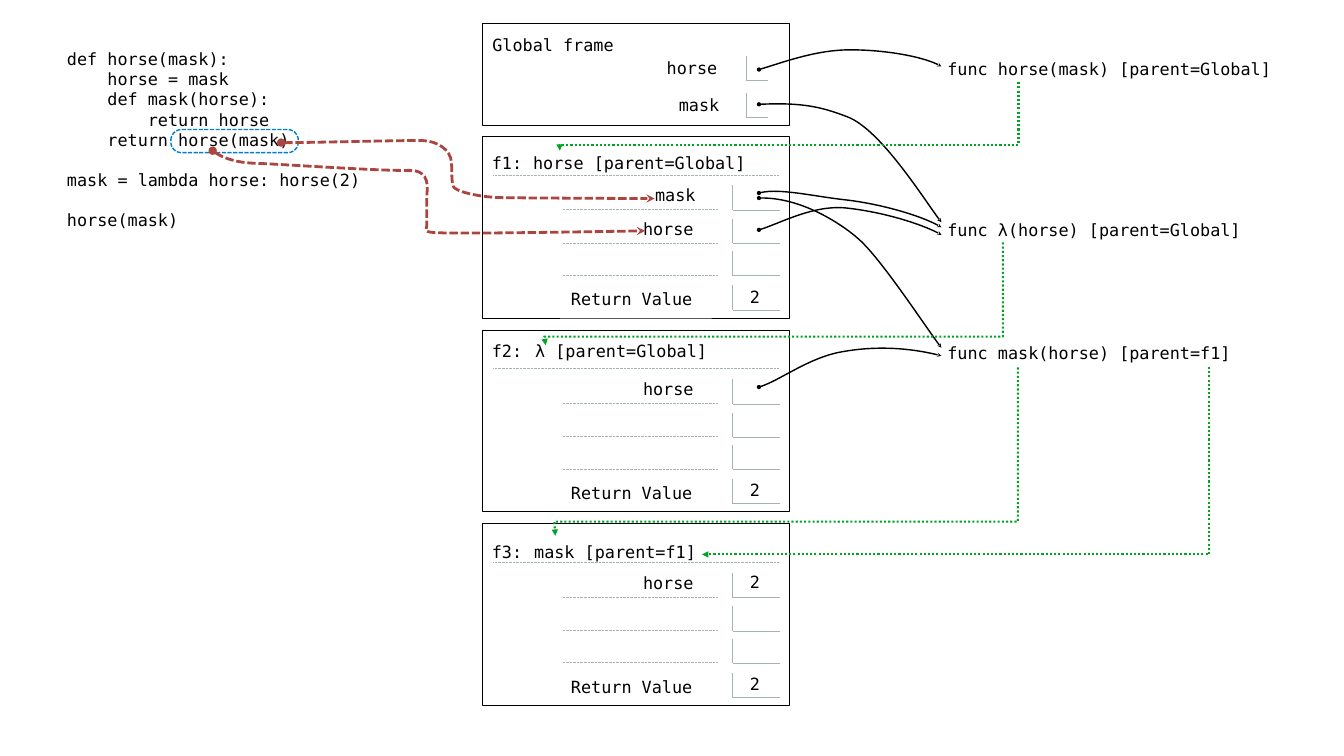
import pptx
import pptx.dml.color
import pptx.enum.dml
import pptx.enum.shapes
import pptx.enum.text
import pptx.oxml.ns
import pptx.util
import lxml.etree

COLUMNS, ROWS = 26.67, 15
COLORS = {
    "ink": "000000",
    "slot": "A6B3B6",
    "call": "007ECF",
    "lookup": "AC443F",
    "parent": "00A423",
}
FONT = "DejaVu Sans Mono"
CODE_PITCH = 28.8
DOTTED = pptx.enum.dml.MSO_LINE.ROUND_DOT
DASHED = pptx.enum.dml.MSO_LINE.SQUARE_DOT

FRAME_LEFT, FRAME_WIDTH, FRAME_HEIGHT = 9.57, 6.1, 3.61
FIRST_FRAME_TOP, FRAME_PITCH = 2.7, 3.845
SLOT_BASES = [1.47, 2.13, 2.77, 3.45]
NAME_RIGHT = 14.2

CODE = [
    "def horse(mask):",
    "    horse = mask",
    "    def mask(horse):",
    "        return horse",
    "    return horse(mask)",
    "mask = lambda horse: horse(2)",
    "horse(mask)",
]
FRAMES = [
    ("f1:", "horse [parent=Global]", 10.43, 0.53, ["mask", "horse"], None),
    ("f2:", "λ [parent=Global]", 10.47, 0.42, ["horse"], None),
    ("f3:", "mask [parent=f1]", 10.45, 0.55, ["horse"], "2"),
]
FUNCTIONS = [
    ("func horse(mask) [parent=Global]", 1.37, 7.1),
    ("func λ(horse) [parent=Global]", 4.55, 6.73),
    ("func mask(horse) [parent=f1]", 7, 6.73),
]
BINDINGS = [
    [(15.06, 1.38), (15.45, 1.27), (16.15, 1), (16.82, 0.99),
     (17.49, 0.98), (18.39, 1.13), (18.68, 1.32)],
    [(15.06, 2.07), (15.92, 2.03), (16.3, 2.12), (16.82, 2.32),
     (17.47, 2.57), (18.39, 4.04), (18.68, 4.41)],
    [(15.06, 4.56), (15.45, 4.45), (16.16, 4.05), (16.82, 4.13),
     (17.54, 4.21), (18.39, 4.48), (18.68, 4.66)],
    [(15.06, 7.68), (15.45, 7.57), (16.06, 7.09), (16.71, 6.98),
     (17.42, 6.85), (18.16, 6.92), (18.68, 7.06)],
    [(15.06, 3.83), (15.45, 3.72), (16.16, 3.9), (16.82, 3.97),
     (17.54, 4.06), (18.39, 4.32), (18.68, 4.51)],
    [(15.06, 3.93), (15.92, 3.9), (16.79, 4.5), (17.1, 4.8),
     (17.55, 5.24), (18.39, 6.52), (18.68, 6.9)],
]
LOOKUPS = [
    [(4.22, 2.99), (4.36, 3.11), (4.69, 3.23), (5.08, 3.24),
     (5.46, 3.25), (7.64, 3.4), (8.11, 3.38), (8.57, 3.37), (8.47, 3.77),
     (8.47, 3.9), (8.47, 4.03), (8.47, 4.39), (8.47, 4.48),
     (8.47, 4.57), (8.35, 4.61), (8.77, 4.62), (9.19, 4.64),
     (12.8, 4.58), (12.8, 4.58)],
    [(5.58, 2.83), (5.79, 2.84), (8.1, 2.78), (8.39, 2.79),
     (8.68, 2.8), (8.94, 2.97), (8.96, 3.22), (8.97, 3.47), (8.96, 3.58),
     (8.99, 3.69), (9.01, 3.8), (9.52, 3.91), (9.9, 3.92),
     (10.27, 3.93), (12.99, 3.94), (12.99, 3.94)],
]
PARENTS = [
    [(20.21, 1.63), (20.21, 2.88), (11.09, 2.88), (11.11, 2.99)],
    [(19.9, 4.81), (19.9, 6.68), (10.8, 6.68), (10.83, 6.85)],
    [(20.2, 7.29), (20.2, 10.35), (11, 10.35), (11.02, 10.63)],
    [(24, 7.28), (24, 11), (13.93, 11)],
]


def cells(*counts):
    return [pptx.util.Inches(count) for count in counts]


def format_line(line, color, width, dash=None):
    line.color.rgb = pptx.dml.color.RGBColor.from_string(COLORS[color])
    line.width = pptx.util.Pt(width)
    if dash is not None:
        line.dash_style = dash


def write(slide, text, left, middle, width, height=0.6, pitch=None, gaps=()):
    box = slide.shapes.add_textbox(*cells(left, middle - height / 2, width, height))
    frame = box.text_frame
    frame.word_wrap = True
    frame.vertical_anchor = pptx.enum.text.MSO_ANCHOR.MIDDLE
    frame.margin_left = pptx.util.Inches(0.15)
    frame.margin_right = frame.margin_top = frame.margin_bottom = pptx.util.Inches(0.06)
    frame.text = text
    for index, paragraph in enumerate(frame.paragraphs):
        paragraph.font.name = FONT
        paragraph.font.size = pptx.util.Pt(24)
        paragraph.font.color.rgb = pptx.dml.color.RGBColor.from_string(COLORS["ink"])
        if pitch:
            paragraph.line_spacing = pptx.util.Pt(pitch)
        if index in gaps:
            paragraph.space_before = pptx.util.Pt(pitch)


def draw_outline(slide, kind, box, color, width, dash=None):
    outline = slide.shapes.add_shape(kind, *cells(*box))
    outline.shadow.inherit = False
    outline.fill.background()
    format_line(outline.line, color, width, dash)
    return outline


def draw_rule(slide, start, end, dash=None):
    rule = slide.shapes.add_connector(
        pptx.enum.shapes.MSO_CONNECTOR.STRAIGHT, *cells(*start, *end))
    format_line(rule.line, "slot", 1, dash)
    lxml.etree.SubElement(rule._element.spPr, pptx.oxml.ns.qn("a:effectLst"))


def draw_slot(slide, left, base, width):
    draw_rule(slide, (left, base - 0.49), (left, base))
    draw_rule(slide, (left + width, base), (left, base))


def bend_segments(route):
    qn = pptx.oxml.ns.qn
    segments = list(route.iter(qn("a:lnTo")))
    for first in range(0, len(segments), 3):
        curve = lxml.etree.Element(qn("a:cubicBezTo"))
        segments[first].addprevious(curve)
        for segment in segments[first:first + 3]:
            curve.append(segment[0])
            segment.getparent().remove(segment)


def draw_arrow(slide, points, color, width, dash=None, curved=True,
               head="oval", tail="stealth"):
    start, *rest = [cells(*point) for point in points]
    builder = slide.shapes.build_freeform(*start)
    builder.add_line_segments(rest, close=False)
    arrow = builder.convert_to_shape()
    arrow.shadow.inherit = False
    arrow.fill.background()
    format_line(arrow.line, color, width, dash)
    if curved:
        bend_segments(arrow._element.spPr)
    stroke = arrow._element.spPr.find(pptx.oxml.ns.qn("a:ln"))
    for end, kind in (("a:headEnd", head), ("a:tailEnd", tail)):
        lxml.etree.SubElement(stroke, pptx.oxml.ns.qn(end), type=kind)


def draw_name(slide, name, middle, right=NAME_RIGHT):
    width = 0.24 * len(name) + 0.39
    write(slide, name, right - width, middle, width, 0.5)


def draw_global_frame(slide):
    draw_outline(slide, pptx.enum.shapes.MSO_SHAPE.RECTANGLE,
                 (FRAME_LEFT, 0.47, FRAME_WIDTH, 2.02), "ink", 1)
    write(slide, "Global frame", 9.62, 0.89, 3.21, 0.69)
    for name, base in (("horse", 1.6), ("mask", 2.33)):
        draw_name(slide, name, base - 0.25, right=14.67)
        draw_slot(slide, 14.81, base, 0.43)


def draw_call_frame(slide, top, label, title, title_left, title_middle, names, value):
    draw_outline(slide, pptx.enum.shapes.MSO_SHAPE.RECTANGLE,
                 (FRAME_LEFT, top, FRAME_WIDTH, FRAME_HEIGHT), "ink", 1)
    write(slide, label, 9.61, top + title_middle, 1.13, 0.72)
    write(slide, title, title_left, top + title_middle, 5, 0.66)
    draw_rule(slide, (9.79, top + 0.77), (15.45, top + 0.77), DOTTED)
    bases = [top + base for base in SLOT_BASES]
    for base in bases:
        draw_slot(slide, 14.54, base, 0.94)
    for base in bases[:-1]:
        draw_rule(slide, (11.17, base - 0.01), (14.25, base - 0.01), DOTTED)
    for name, base in zip(names, bases):
        draw_name(slide, name, base - 0.3)
    write(slide, "Return Value", 11.18, bases[-1] - 0.22, 3.21, 0.5)
    for result, base in ((value, bases[0] - 0.05), ("2", bases[-1])):
        if result:
            write(slide, result, 14.73, base - 0.27, 0.76, 0.66)


def main():
    deck = pptx.Presentation()
    deck.slide_width, deck.slide_height = cells(COLUMNS, ROWS)
    slide = deck.slides.add_slide(deck.slide_layouts[6])

    draw_global_frame(slide)
    for index, frame in enumerate(FRAMES):
        draw_call_frame(slide, FIRST_FRAME_TOP + index * FRAME_PITCH, *frame)
    write(slide, "\n".join(CODE), 1.18, 2.77, 7.94, 4.06, pitch=CODE_PITCH, gaps=(5, 6))
    for signature, middle, width in FUNCTIONS:
        write(slide, signature, 18.65, middle, width)

    call = draw_outline(slide, pptx.enum.shapes.MSO_SHAPE.ROUNDED_RECTANGLE,
                        (3.39, 2.57, 2.53, 0.46), "call", 2, DASHED)
    call.adjustments[0] = 0.46
    for points in BINDINGS:
        draw_arrow(slide, points, "ink", 2)
    for points in LOOKUPS:
        draw_arrow(slide, points, "lookup", 4, DASHED)
    for points in PARENTS:
        draw_arrow(slide, points, "parent", 3, DOTTED, curved=False,
                   head="none", tail="triangle")
    deck.save("out.pptx")


if __name__ == "__main__":
    main()
